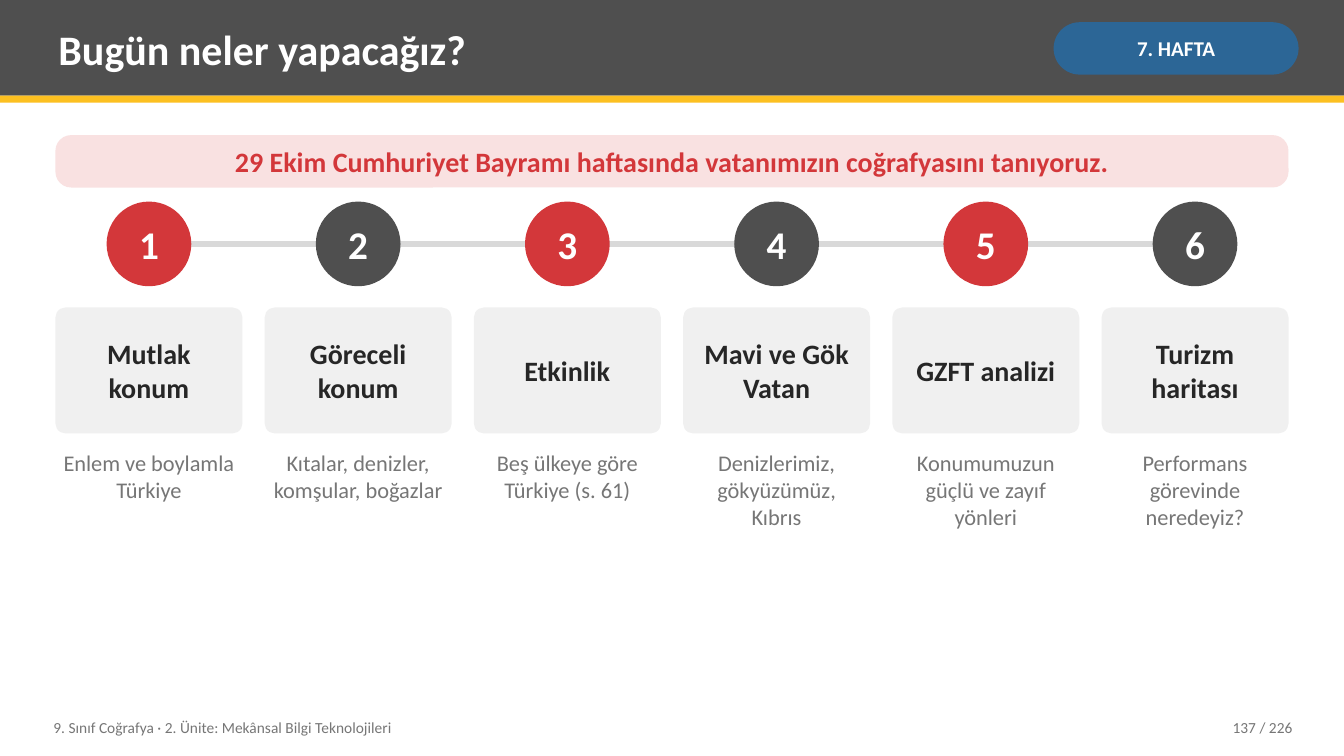
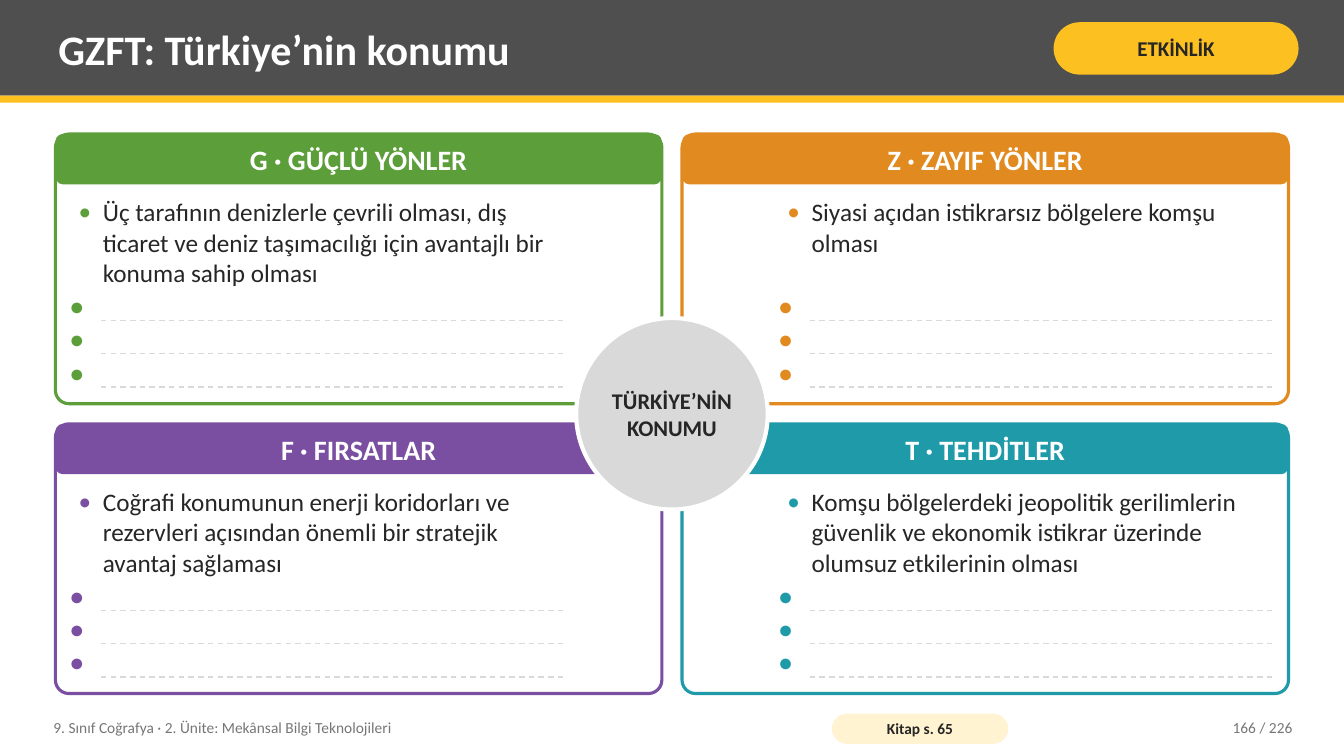
from lxml.etree import SubElement
from pptx import Presentation
from pptx.dml.color import RGBColor
from pptx.enum.dml import MSO_LINE_DASH_STYLE as Dash
from pptx.enum.shapes import MSO_CONNECTOR, MSO_SHAPE as Preset
from pptx.enum.text import MSO_ANCHOR as Anchor, MSO_AUTO_SIZE as AutoSize, PP_ALIGN as Align
from pptx.oxml.ns import qn
from pptx.util import Inches, Pt

WIDTH, HEIGHT = 13.33, 7.5
MARGIN = 0.55
CONTENT_WIDTH = WIDTH - 2 * MARGIN
FONT = "Calibri"
WHITE, INK, GREY = "FFFFFF", "262626", "767676"
DARK, YELLOW, RED, BLUE = "4F4F4F", "FCC021", "D3373A", "2C6696"
RULE, PALE_GREY, PALE_RED, PALE_YELLOW = "D9D9D9", "F0F0F0", "F9E1E1", "FFF3D1"
TEXT_INSETS = (0.08, 0.04)

FOOTER = "9. Sınıf Coğrafya · 2. Ünite: Mekânsal Bilgi Teknolojileri"
PAGE_TOTAL = 226

BANNER = "29 Ekim Cumhuriyet Bayramı haftasında vatanımızın coğrafyasını tanıyoruz."
STEPS = [
    ("Mutlak konum", "Enlem ve boylamla Türkiye"),
    ("Göreceli konum", "Kıtalar, denizler, komşular, boğazlar"),
    ("Etkinlik", "Beş ülkeye göre Türkiye (s. 61)"),
    ("Mavi ve Gök Vatan", "Denizlerimiz, gökyüzümüz, Kıbrıs"),
    ("GZFT analizi", "Konumumuzun güçlü ve zayıf yönleri"),
    ("Turizm haritası", "Performans görevinde neredeyiz?"),
]

HUB = "TÜRKİYE’NİN KONUMU"
PANELS = [
    ("G · GÜÇLÜ YÖNLER", "5C9E3A",
     "Üç tarafının denizlerle çevrili olması, dış ticaret ve deniz taşımacılığı "
     "için avantajlı bir konuma sahip olması"),
    ("Z · ZAYIF YÖNLER", "E08A1F", "Siyasi açıdan istikrarsız bölgelere komşu olması"),
    ("F · FIRSATLAR", "7A4EA0",
     "Coğrafi konumunun enerji koridorları ve rezervleri açısından önemli bir "
     "stratejik avantaj sağlaması"),
    ("T · TEHDİTLER", "1E9AA8",
     "Komşu bölgelerdeki jeopolitik gerilimlerin güvenlik ve ekonomik istikrar "
     "üzerinde olumsuz etkilerinin olması"),
]
BLANK_ROWS = 3


def rgb(value):
    return RGBColor.from_string(value)


def tracks(start, length, count, gap):
    """Return the size of equal columns or rows, and the start of each."""
    size = (length - (count - 1) * gap) / count
    return size, [start + i * (size + gap) for i in range(count)]


def write(shape, text, size, color, bold=False, align=Align.LEFT,
          anchor=Anchor.MIDDLE, insets=TEXT_INSETS, wrap=True):
    frame = shape.text_frame
    frame.text = text
    frame.word_wrap = wrap
    frame.auto_size = AutoSize.NONE
    frame.vertical_anchor = anchor
    frame.margin_left = frame.margin_right = Inches(insets[0])
    frame.margin_top = frame.margin_bottom = Inches(insets[1])
    paragraph = frame.paragraphs[0]
    paragraph.alignment = align
    paragraph.space_before = Pt(0)
    font = paragraph.runs[0].font
    font.name, font.size, font.bold = FONT, Pt(size), bold
    font.color.rgb = rgb(color)


def add_box(slide, preset, box, fill, radius=None, line=None, line_width=1):
    shape = slide.shapes.add_shape(preset, *map(Inches, box))
    shape.shadow.inherit = False
    shape.fill.solid()
    shape.fill.fore_color.rgb = rgb(fill)
    if radius is not None:
        shape.adjustments[0] = radius
    if line:
        shape.line.color.rgb = rgb(line)
        shape.line.width = Pt(line_width)
    else:
        shape.line.fill.background()
    return shape


def add_label(slide, box, text, size, color, **style):
    write(slide.shapes.add_textbox(*map(Inches, box)), text, size, color, **style)


def add_rule(slide, left, right, y, width, dash=None):
    """Draw a horizontal grey line."""
    rule = slide.shapes.add_connector(
        MSO_CONNECTOR.STRAIGHT, *map(Inches, (left, y, right, y)))
    rule.line.color.rgb = rgb(RULE)
    rule.line.width = Pt(width)
    if dash:
        rule.line.dash_style = dash
    SubElement(rule._element.spPr, qn("a:effectLst"))


def place(slide, placeholder, box):
    """Position a placeholder and bring it in front of what is drawn so far."""
    placeholder.left, placeholder.top, placeholder.width, placeholder.height = map(Inches, box)
    slide.shapes._spTree.append(placeholder._element)


def set_bullet(paragraph, color, indent):
    properties = paragraph._p.get_or_add_pPr()
    properties.set("marL", str(Inches(indent)))
    properties.set("indent", str(-Inches(indent)))
    bullet_color = SubElement(properties, qn("a:buClr"))
    SubElement(bullet_color, qn("a:srgbClr")).set("val", color)
    SubElement(properties, qn("a:buFont")).set("typeface", FONT)
    SubElement(properties, qn("a:buChar")).set("char", "•")


def add_frame(slide, title, tag, tag_fill, tag_color, page):
    """Add the title band, tag and footer that every slide has."""
    add_box(slide, Preset.RECTANGLE, (0, 0, WIDTH, 0.95), DARK)
    add_box(slide, Preset.RECTANGLE, (0, 0.95, WIDTH, 0.07), YELLOW)
    place(slide, slide.shapes.title, (0.5, 0.07, 9.75, 0.82))
    write(slide.shapes.title, title, 30, WHITE, bold=True)
    pill = add_box(slide, Preset.ROUNDED_RECTANGLE, (10.45, 0.22, 2.43, 0.52), tag_fill, 0.5)
    write(pill, tag, 15, tag_color, bold=True, align=Align.CENTER, insets=(0.05, 0.02))
    add_label(slide, (0.45, 7.04, 7.6, 0.36), FOOTER, 11, GREY)
    add_label(slide, (11.3, 7.04, 1.6, 0.36), f"{page} / {PAGE_TOTAL}", 11, GREY,
              align=Align.RIGHT)


def build_agenda(slide):
    add_frame(slide, "Bugün neler yapacağız?", "7. HAFTA", BLUE, WHITE, 137)
    banner = add_box(slide, Preset.ROUNDED_RECTANGLE,
                     (MARGIN, 1.34, CONTENT_WIDTH, 0.52), PALE_RED, 0.3)
    write(banner, BANNER, 20, RED, bold=True, align=Align.CENTER, insets=(0.14, 0))

    width, lefts = tracks(MARGIN, CONTENT_WIDTH, len(STEPS), 0.22)
    diameter, circle_top = 0.84, 2
    add_rule(slide, lefts[0] + width / 2, lefts[-1] + width / 2, circle_top + diameter / 2, 4)
    for i, (left, (name, detail)) in enumerate(zip(lefts, STEPS)):
        circle = add_box(slide, Preset.OVAL,
                         (left + (width - diameter) / 2, circle_top, diameter, diameter),
                         DARK if i % 2 else RED)
        write(circle, str(i + 1), 28, WHITE, bold=True, align=Align.CENTER,
              insets=(0, 0), wrap=False)
        card = add_box(slide, Preset.ROUNDED_RECTANGLE, (left, 3.05, width, 1.25),
                       PALE_GREY, 0.08)
        write(card, name, 20, INK, bold=True, align=Align.CENTER, insets=(0.08, 0.08))
        add_label(slide, (left, 4.42, width, 1.9), detail, 16, GREY,
                  align=Align.CENTER, anchor=Anchor.TOP)


def add_panel(slide, body, box, list_left, list_width, heading, color, point):
    left, top, width, _ = box
    add_box(slide, Preset.ROUNDED_RECTANGLE, box, WHITE, 0.05, color, 2.25)
    header = add_box(slide, Preset.ROUNDED_RECTANGLE, (left, top, width, 0.5), color, 0.15)
    write(header, heading, 20, WHITE, bold=True, align=Align.CENTER, insets=(0.14, 0))

    place(slide, body, (list_left, top + 0.58, list_width, 1))
    write(body, point, 18, INK, anchor=Anchor.TOP)
    set_bullet(body.text_frame.paragraphs[0], color, 0.24)

    for row in range(BLANK_ROWS):
        y = top + 1.55 + row * 0.33
        add_label(slide, (list_left, y, 0.3, 0.32), "•", 18, color, bold=True,
                  anchor=Anchor.TOP, insets=(0, 0))
        add_rule(slide, list_left + 0.3, list_left + list_width, y + 0.3, 1, Dash.DASH)


def build_swot(slide):
    add_frame(slide, "GZFT: Türkiye’nin konumu", "ETKİNLİK", YELLOW, INK, 166)
    top, total_height, gap = 1.33, 5.55, 0.2
    width, lefts = tracks(MARGIN, CONTENT_WIDTH, 2, gap)
    height, tops = tracks(top, total_height, 2, gap)
    list_width, inset = 4.9, 0.15
    list_lefts = (lefts[0] + inset, lefts[1] + width - inset - list_width)
    bodies = [item for item in slide.placeholders if item.placeholder_format.idx]
    for i, (body, panel) in enumerate(zip(bodies, PANELS)):
        row, column = divmod(i, 2)
        add_panel(slide, body, (lefts[column], tops[row], width, height),
                  list_lefts[column], list_width, *panel)

    diameter = 1.9
    hub = add_box(slide, Preset.OVAL,
                  ((WIDTH - diameter) / 2, top + (total_height - diameter) / 2,
                   diameter, diameter), RULE, line=WHITE, line_width=3)
    write(hub, HUB, 16, INK, bold=True, align=Align.CENTER, insets=(0.04, 0.02))
    source = add_box(slide, Preset.ROUNDED_RECTANGLE, (8.25, 7.08, 1.75, 0.3), PALE_YELLOW, 0.5)
    write(source, "Kitap s. 65", 11, INK, bold=True, align=Align.CENTER, insets=(0.04, 0))


def main():
    presentation = Presentation()
    presentation.slide_width, presentation.slide_height = Inches(WIDTH), Inches(HEIGHT)
    for layout_name, build in (("Title Only", build_agenda), ("Comparison", build_swot)):
        layout = presentation.slide_layouts.get_by_name(layout_name)
        build(presentation.slides.add_slide(layout))
    presentation.save("out.pptx")


if __name__ == "__main__":
    main()
